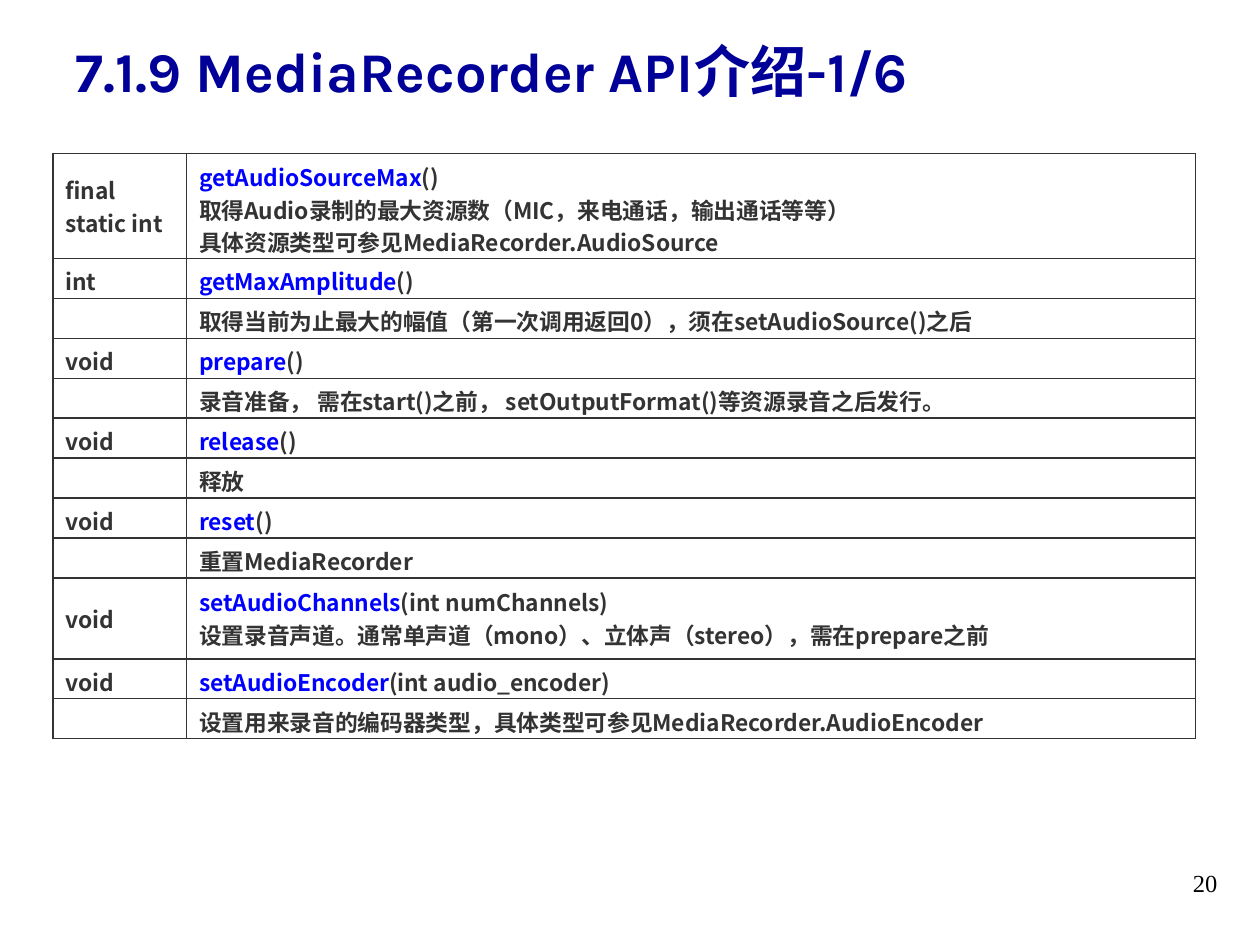
from dataclasses import dataclass

from lxml import etree
from pptx import Presentation
from pptx.dml.color import RGBColor
from pptx.enum.text import MSO_ANCHOR
from pptx.oxml.ns import qn
from pptx.util import Inches, Pt

MIDDLE = MSO_ANCHOR.MIDDLE
WHITE = RGBColor(0xFF, 0xFF, 0xFF)
BLACK = RGBColor(0, 0, 0)
NAVY = RGBColor(0, 0, 0x99)
BLUE = RGBColor(0, 0, 0xFF)
GRAY = RGBColor(0x33, 0x33, 0x33)
CJK_FONT = "Noto Sans CJK SC"
TABLE_SIZE = 13
ROW_HEIGHT = 0.3
COLUMN_WIDTHS = (1.06, 8.01)
BORDER_TAGS = ("a:lnL", "a:lnR", "a:lnT", "a:lnB")


@dataclass(frozen=True)
class TextStyle:
    font: str
    size: int
    color: RGBColor
    bold: bool = False


@dataclass(frozen=True)
class ApiRow:
    return_type: str = ""
    method: str = ""
    arguments: str = "()"
    notes: tuple[str, ...] = ()
    height: float = ROW_HEIGHT


TITLE_STYLE = TextStyle("Karla", 32, NAVY, True)
NUMBER_STYLE = TextStyle("Times New Roman", 14, BLACK)
BODY_STYLE = TextStyle(CJK_FONT, TABLE_SIZE, GRAY, True)
METHOD_STYLE = TextStyle(CJK_FONT, TABLE_SIZE, BLUE, True)

API_ROWS = (
    ApiRow("final static int", "getAudioSourceMax", notes=(
        "取得Audio录制的最大资源数（MIC，来电通话，输出通话等等）",
        "具体资源类型可参见MediaRecorder.AudioSource"), height=0.83),
    ApiRow("int", "getMaxAmplitude"),
    ApiRow(notes=("取得当前为止最大的幅值（第一次调用返回0），须在setAudioSource()之后",)),
    ApiRow("void", "prepare"),
    ApiRow(notes=("录音准备， 需在start()之前， setOutputFormat()等资源录音之后发行。",)),
    ApiRow("void", "release"),
    ApiRow(notes=("释放",)),
    ApiRow("void", "reset"),
    ApiRow(notes=("重置MediaRecorder",)),
    ApiRow("void", "setAudioChannels", "(int numChannels)", (
        "设置录音声道。通常单声道（mono）、立体声（stereo），需在prepare之前",), 0.64),
    ApiRow("void", "setAudioEncoder", "(int audio_encoder)"),
    ApiRow(notes=("设置用来录音的编码器类型，具体类型可参见MediaRecorder.AudioEncoder",)),
)


def add_run(paragraph, text: str, style: TextStyle) -> None:
    """Append a styled run with an East Asian font."""
    run = paragraph.add_run()
    run.text = text
    run.font.name = style.font
    run.font.size = Pt(style.size)
    run.font.bold = style.bold
    run.font.color.rgb = style.color
    east_asian = etree.Element(qn("a:ea"), typeface=CJK_FONT)
    run.font._element.find(qn("a:latin")).addnext(east_asian)


def add_text_box(slide, box: tuple[float, ...], text: str, style: TextStyle,
                 line_spacing: float = 1.0) -> None:
    """Add a wrapping text box with a single paragraph."""
    text_frame = slide.shapes.add_textbox(*map(Inches, box)).text_frame
    text_frame.word_wrap = True
    paragraph = text_frame.paragraphs[0]
    paragraph.line_spacing = line_spacing
    add_run(paragraph, text, style)


def format_cell(cell) -> None:
    """Give a cell its anchor, borders and white fill."""
    cell.vertical_anchor = MIDDLE
    properties = cell._tc.get_or_add_tcPr()
    for tag in BORDER_TAGS:
        line = etree.SubElement(properties, qn(tag), w=str(Pt(1)))
        fill = etree.SubElement(line, qn("a:solidFill"))
        etree.SubElement(fill, qn("a:srgbClr"), val=str(GRAY))
    cell.fill.solid()
    cell.fill.fore_color.rgb = WHITE


def fill_cell(cell, lines: list[list[tuple[str, TextStyle]]]) -> None:
    """Write one paragraph per line, or size the empty paragraph."""
    format_cell(cell)
    text_frame = cell.text_frame
    if not lines:
        etree.SubElement(text_frame.paragraphs[0]._p, qn("a:endParaRPr"),
                         sz=str(TABLE_SIZE * 100))
    for index, line in enumerate(lines):
        paragraph = text_frame.add_paragraph() if index else text_frame.paragraphs[0]
        for text, style in line:
            add_run(paragraph, text, style)


def add_api_table(slide, api_rows: tuple[ApiRow, ...]) -> None:
    """Add the table of return types and methods."""
    height = sum(row.height for row in api_rows)
    table = slide.shapes.add_table(
        len(api_rows), len(COLUMN_WIDTHS), Inches(0.42), Inches(1.22),
        Inches(sum(COLUMN_WIDTHS)), Inches(height)).table
    table.first_row = False
    table.horz_banding = False
    for column, width in zip(table.columns, COLUMN_WIDTHS):
        column.width = Inches(width)
    for table_row, api_row in zip(table.rows, api_rows):
        table_row.height = Inches(api_row.height)
        type_cell, method_cell = table_row.cells
        type_lines = [[(api_row.return_type, BODY_STYLE)]] if api_row.return_type else []
        lines = [[(note, BODY_STYLE)] for note in api_row.notes]
        if api_row.method:
            lines.insert(0, [(api_row.method, METHOD_STYLE), (api_row.arguments, BODY_STYLE)])
        fill_cell(type_cell, type_lines)
        fill_cell(method_cell, lines)


def main() -> None:
    """Build the slide and save it."""
    presentation = Presentation()
    presentation.slide_width = Inches(10)
    presentation.slide_height = Inches(7.5)
    slide = presentation.slides.add_slide(presentation.slide_layouts[6])
    add_text_box(slide, (9.37, 6.84, 0.63, 0.33), "20", NUMBER_STYLE)
    add_api_table(slide, API_ROWS)
    add_text_box(slide, (0.5, 0.3, 7.97, 0.77),
                 "7.1.9 MediaRecorder API介绍-1/6", TITLE_STYLE, 0.9)
    presentation.save("out.pptx")


if __name__ == "__main__":
    main()
